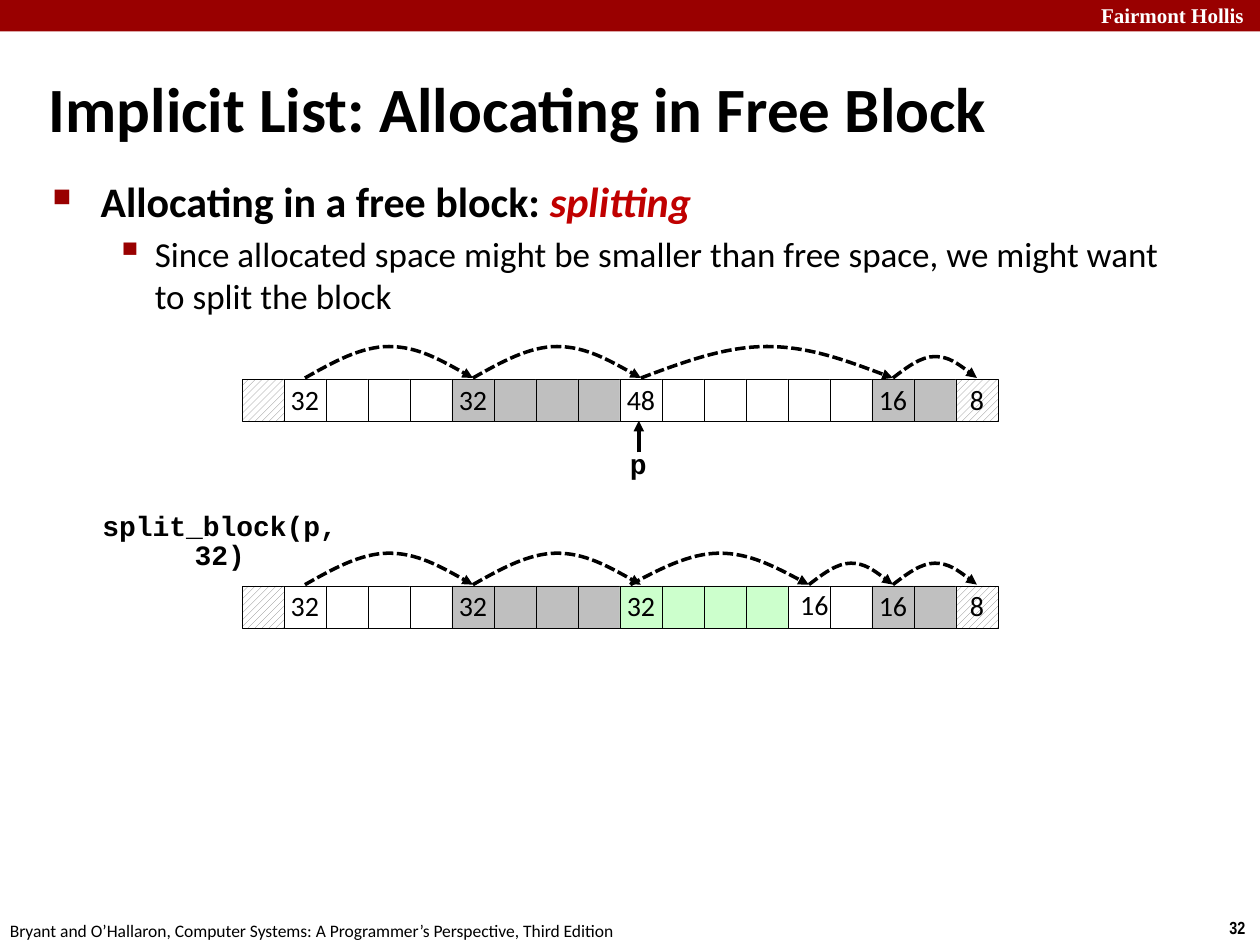
from pptx import Presentation, util as u
from pptx.dml.color import RGBColor
from pptx.enum import dml, shapes, text
from pptx.oxml import parse_xml
from pptx.oxml.ns import nsdecls, qn

COLORS = {"band": "990000", "accent": "C00000", "ink": "000000", "free": "FFFFFF",
          "used": "BFBFBF", "tail": "C0C0C0", "new": "CCFFCC", "hatch": "808080"}
WIDTH, HEIGHT = 10, 7.5
CELL = 1 / 3
HEAP_LEFT = 1.92
BODY = {"name": "Calibri", "size": 20, "color": "ink"}
BOLD = BODY | {"bold": True}
NUMBER = BODY | {"size": 16}
CODE = NUMBER | {"name": "Courier New", "bold": True}
SMALL = BODY | {"size": 10}

CAPTIONS = [
    ("Fairmont Hollis", (8.64, -0.03, 1.43, 0.3),
     {"name": "Times New Roman", "size": 12, "color": "free", "bold": True}, {}),
    ("32", (9.66, 7.23, 0.34, 0.27),
     SMALL | {"name": "Arial Narrow", "bold": True}, {"wrap": False}),
    ("Bryant and O’Hallaron, Computer Systems: A Programmer’s Perspective, Third Edition",
     (-0.02, 7.25, 5.08, 0.27), SMALL, {"wrap": False}),
    ("Implicit List: Allocating in Free Block", (0.29, 0.54, 9.42, 0.63),
     BOLD | {"size": 36}, {"anchor": "MIDDLE"}),
    ("p", (4.9, 3.51, 0.32, 0.37), CODE, {"wrap": False, "leading": 0.98}),
    ("split_block(p, 32)", (0.48, 4.03, 2.53, 0.34), CODE,
     {"wrap": False, "align": "CENTER", "leading": 0.85}),
]

BULLETS = [
    {"runs": [("Allocating in a free block: ", BOLD | {"size": 24}),
              ("splitting", BOLD | {"size": 24, "color": "accent", "italic": True})],
     "mark": "■", "percent": 60, "left": 0.38, "hang": 0.38, "before": 5},
    {"runs": [("Since allocated space might be smaller than free space, "
               "we might want to split the block", BODY)],
     "mark": "▪", "percent": 110, "left": 0.81, "hang": 0.31, "before": 4},
]

HEAPS = [
    {"top": 3.01,
     "blocks": [("", 1, "hatch"), ("32", 4, "free"), ("32", 4, "used"),
                ("48", 6, "free"), ("16", 2, "tail"), ("8", 1, "hatch")],
     "hops": [(1, 5, 0.25), (5, 9, 0.25), (9, 15, 0.25), (15, 17, 0.17)]},
    {"top": 4.65,
     "blocks": [("", 1, "hatch"), ("32", 4, "free"), ("32", 4, "used"), ("32", 4, "new"),
                ("16", 2, "free"), ("16", 2, "tail"), ("8", 1, "hatch")],
     "hops": [(1, 5, 0.25), (5, 9, 0.25), (8.75, 13, 0.25), (13, 15, 0.17),
              (15, 17, 0.17)]},
]
SHIFTED_LABEL = (4.65, 13)


def inches(*lengths):
    return [u.Inches(length) for length in lengths]


def rgb(key):
    return RGBColor.from_string(COLORS[key])


def add_run(paragraph, words, style):
    run = paragraph.add_run()
    run.text = words
    for field, value in style.items():
        if field == "color":
            run.font.color.rgb = rgb(value)
        else:
            setattr(run.font, field, u.Pt(value) if field == "size" else value)


def write(holder, words, style, wrap=True, anchor="TOP", align="LEFT", leading=1.0):
    frame = holder.text_frame
    frame.word_wrap = wrap
    frame.vertical_anchor = text.MSO_ANCHOR[anchor]
    paragraph = frame.paragraphs[0]
    paragraph.alignment = text.PP_ALIGN[align]
    paragraph.line_spacing = leading
    add_run(paragraph, words, style)


def add_caption(slide, words, place, style, layout):
    write(slide.shapes.add_textbox(*inches(*place)), words, style, **layout)


def add_box(slide, place, fill):
    box = slide.shapes.add_shape(shapes.MSO_SHAPE.RECTANGLE, *inches(*place))
    box.shadow.inherit = False
    if fill == "hatch":
        box.fill.patterned()
        box.fill.pattern = dml.MSO_PATTERN.WIDE_UPWARD_DIAGONAL
        box.fill.fore_color.rgb = rgb("hatch")
        box.fill.back_color.rgb = rgb("free")
    else:
        box.fill.solid()
        box.fill.fore_color.rgb = rgb(fill)
    box.line.color.rgb = rgb("ink")
    box.line.width = u.Pt(0.25)
    return box


def style_arrow(arrow):
    arrow.line.color.rgb = rgb("ink")
    arrow.line.width = u.Pt(2)
    arrow.line._get_or_add_ln().append(
        parse_xml(f'<a:tailEnd type="triangle" {nsdecls("a")}/>'))


def add_hop(slide, start, end, base, rise):
    span = end - start
    shares = [(1 / 6, 0.5), (1 / 3, 1), (1 / 2, 1), (2 / 3, 1), (5 / 6, 0.5), (1, 0)]
    points = [inches(start + span * x, base - rise * y) for x, y in shares]
    builder = slide.shapes.build_freeform(*inches(start, base))
    builder.add_line_segments(points, close=False)
    hop = builder.convert_to_shape()
    hop.shadow.inherit = False
    hop.fill.background()
    hop.line.dash_style = dml.MSO_LINE.SQUARE_DOT
    style_arrow(hop)
    segments = list(hop._element.iter(qn("a:lnTo")))
    for first in (0, 3):
        curve = parse_xml(f'<a:cubicBezTo {nsdecls("a")}/>')
        segments[first].addprevious(curve)
        for segment in segments[first:first + 3]:
            curve.append(segment[0])
            segment.getparent().remove(segment)


def add_heap(slide, heap):
    top, column = heap["top"], 0
    for label, count, fill in heap["blocks"]:
        for offset in range(count):
            left = HEAP_LEFT + (column + offset) * CELL
            cell = add_box(slide, (left, top, CELL, CELL), fill)
            if label and offset == 0 and (top, column) != SHIFTED_LABEL:
                write(cell, label, NUMBER, False, "MIDDLE", "CENTER", 0.98)
        if (top, column) == SHIFTED_LABEL:
            add_caption(slide, label, (HEAP_LEFT + column * CELL, top - 0.02, 0.43, 0.37),
                        NUMBER, {"wrap": False, "leading": 0.98})
        column += count
    for start, end, rise in heap["hops"]:
        ends = [HEAP_LEFT + (index + 0.5) * CELL for index in (start, end)]
        add_hop(slide, *ends, top - 0.01, rise)


def add_bullets(slide):
    frame = slide.shapes.add_textbox(*inches(0.32, 1.34, 9.09, 5.71)).text_frame
    frame.word_wrap = True
    for index, bullet in enumerate(BULLETS):
        paragraph = frame.add_paragraph() if index else frame.paragraphs[0]
        paragraph.level = index
        paragraph.space_before = u.Pt(bullet["before"])
        for words, style in bullet["runs"]:
            add_run(paragraph, words, style)
        properties = paragraph._p.get_or_add_pPr()
        properties.set("marL", str(u.Inches(bullet["left"])))
        properties.set("indent", str(-u.Inches(bullet["hang"])))
        for markup in (f'buClr {nsdecls("a")}><a:srgbClr val="{COLORS["band"]}"/></a:buClr>',
                       f'buSzPct {nsdecls("a")} val="{bullet["percent"] * 1000}"/>',
                       f'buChar {nsdecls("a")} char="{bullet["mark"]}"/>'):
            properties.append(parse_xml("<a:" + markup))


def main():
    deck = Presentation()
    deck.slide_width, deck.slide_height = inches(WIDTH, HEIGHT)
    slide = deck.slides.add_slide(deck.slide_layouts[6])
    band = add_box(slide, (0, 0, WIDTH, HEIGHT / 30), "band")
    band.line.fill.background()
    add_bullets(slide)
    for heap in HEAPS:
        add_heap(slide, heap)
    pointer = slide.shapes.add_connector(shapes.MSO_CONNECTOR.STRAIGHT,
                                         *inches(5.07, 3.59, 5.07, 3.34))
    style_arrow(pointer)
    pointer._element.spPr.append(parse_xml(f'<a:effectLst {nsdecls("a")}/>'))
    for caption in CAPTIONS:
        add_caption(slide, *caption)
    deck.save("out.pptx")


if __name__ == "__main__":
    main()
